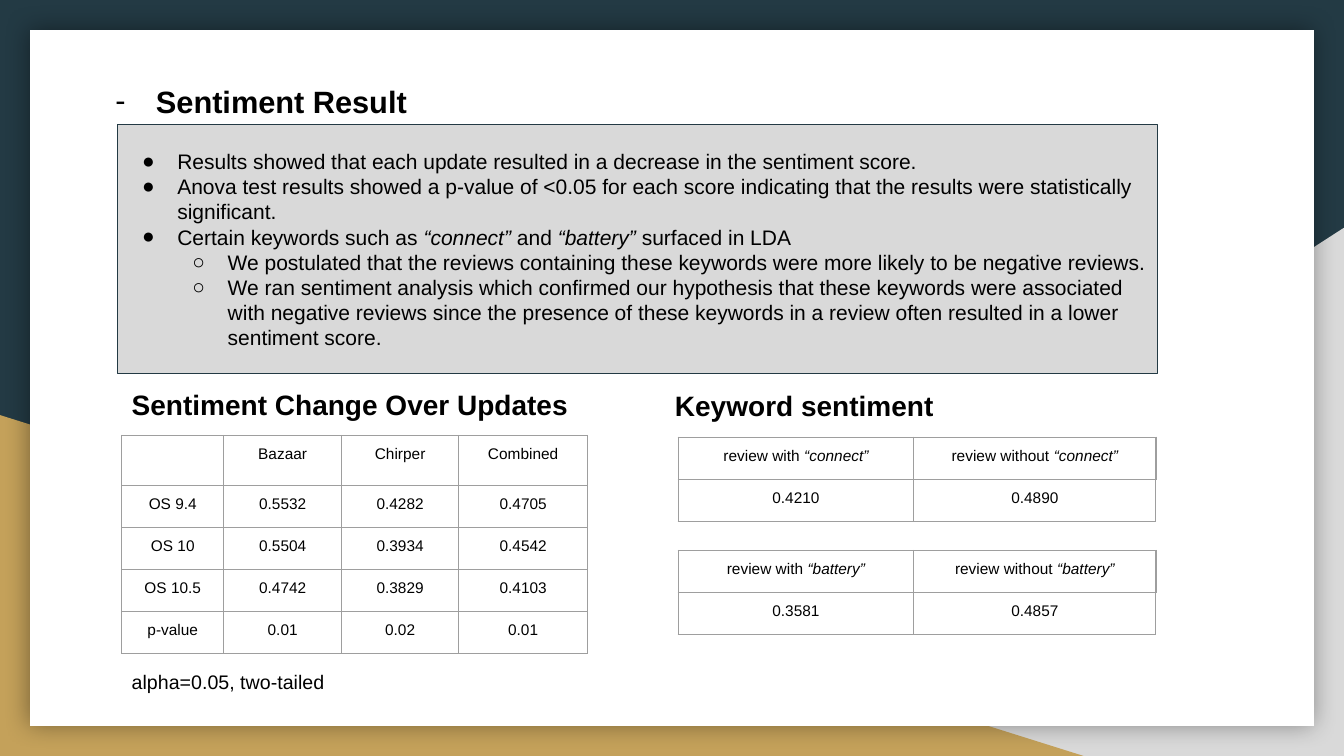
from dataclasses import dataclass

from lxml.etree import SubElement
from pptx import Presentation
from pptx.dml.color import RGBColor
from pptx.enum.shapes import MSO_SHAPE as Preset
from pptx.enum.text import MSO_ANCHOR as Anchor, PP_ALIGN as Align
from pptx.oxml.ns import qn
from pptx.shapes.autoshape import Shape
from pptx.slide import Slide
from pptx.text.text import TextFrame, _Paragraph as Paragraph
from pptx.util import Cm, Pt

FONT = "Arial"
COLORS = {
    "navy": "233A44",
    "gold": "C4A15A",
    "grey": "D9D9D9",
    "white": "FFFFFF",
    "black": "000000",
    "grid": "9E9E9E",
}
ROW_HEIGHT = 1.06
GRID_LINE = 0.75
INSET = 0.25


@dataclass
class Area:
    left: float
    top: float
    width: float
    height: float

    def lengths(self) -> tuple[Cm, Cm, Cm, Cm]:
        return Cm(self.left), Cm(self.top), Cm(self.width), Cm(self.height)


@dataclass
class Panel:
    preset: Preset
    area: Area
    fill: str


@dataclass
class Label:
    text: str
    area: Area
    size: float
    heading: bool = True


@dataclass
class Bullet:
    text: str
    level: int = 0


@dataclass
class Grid:
    left: float
    top: float
    columns: list[float]
    rows: list[list[str]]
    header_line: float = 1


def keyword_grid(keyword: str, top: float, scores: list[str]) -> Grid:
    header = [f"review with _“{keyword}”_", f"review without _“{keyword}”_"]
    return Grid(17.09, top, [5.94, 6.1], [header, scores])


TRIANGLES = [
    Panel(Preset.RIGHT_TRIANGLE, Area(13.26, 5.74, 20.61, 13.31), "grey"),
    Panel(Preset.RIGHT_TRIANGLE, Area(0, 10.46, 27.31, 8.59), "gold"),
]
SHEET = Panel(Preset.RECTANGLE, Area(0.76, 0.76, 32.35, 17.53), "white")
FINDINGS = Panel(Preset.RECTANGLE, Area(2.95, 3.15, 26.21, 6.27), "grey")
TITLE = Label("Sentiment Result", Area(2.41, 1.52, 13.03, 1.63), 22)
LABELS = [
    Label("Sentiment Change Over Updates", Area(3.07, 9.12, 13.03, 1.63), 20),
    Label("Keyword sentiment", Area(16.76, 9.14, 13.03, 1.63), 20),
    Label("alpha=0.05, two-tailed", Area(3.07, 16.64, 5.87, 1.12), 14, heading=False),
]
BULLETS = [
    Bullet("Results showed that each update resulted in a decrease in the sentiment score."),
    Bullet("Anova test results showed a p-value of <0.05 for each score indicating that "
           "the results were statistically significant."),
    Bullet("Certain keywords such as _“connect”_ and _“battery”_ surfaced in LDA"),
    Bullet("We postulated that the reviews containing these keywords were more likely "
           "to be negative reviews.", 1),
    Bullet("We ran sentiment analysis which confirmed our hypothesis that these keywords "
           "were associated with negative reviews since the presence of these keywords "
           "in a review often resulted in a lower sentiment score.", 1),
]
GRIDS = [
    Grid(3.07, 10.97, [2.57, 2.97, 2.95, 3.25], [
        ["", "Bazaar", "Chirper", "Combined"],
        ["OS 9.4", "0.5532", "0.4282", "0.4705"],
        ["OS 10", "0.5504", "0.3934", "0.4542"],
        ["OS 10.5", "0.4742", "0.3829", "0.4103"],
        ["p-value", "0.01", "0.02", "0.01"],
    ], GRID_LINE),
    keyword_grid("connect", 11.02, ["0.4210", "0.4890"]),
    keyword_grid("battery", 13.87, ["0.3581", "0.4857"]),
]


def rgb(name: str) -> RGBColor:
    return RGBColor.from_string(COLORS[name])


def set_insets(frame: TextFrame, vertical: float) -> None:
    frame.margin_left = frame.margin_right = Cm(INSET)
    frame.margin_top = frame.margin_bottom = Cm(vertical)


def write(para: Paragraph, text: str, size: float, bold: bool = False) -> None:
    """Write text in which underscores enclose the italic parts."""
    for index, part in enumerate(text.split("_")):
        span = para.add_run()
        span.text = part
        if index % 2:
            span.font.italic = True
    font = para.font
    font.name, font.size, font.bold = FONT, Pt(size), bold
    font.color.rgb = rgb("black")


def add_bullet(para: Paragraph, char: str, indent: float, hanging: float) -> None:
    props = para._p.get_or_add_pPr()
    props.set("marL", str(Cm(indent)))
    props.set("indent", str(-Cm(hanging)))
    color = SubElement(props, qn("a:buClr"))
    SubElement(color, qn("a:srgbClr"), val=COLORS["black"])
    SubElement(props, qn("a:buFont"), typeface=FONT)
    SubElement(props, qn("a:buChar"), char=char)


def draw_panel(page: Slide, panel: Panel) -> Shape:
    shape = page.shapes.add_shape(panel.preset, *panel.area.lengths())
    shape.shadow.inherit = False
    shape.fill.solid()
    shape.fill.fore_color.rgb = rgb(panel.fill)
    shape.line.fill.background()
    return shape


def draw_backdrop(page: Slide) -> None:
    page.background.fill.solid()
    page.background.fill.fore_color.rgb = rgb("navy")
    right, _ = [draw_panel(page, triangle) for triangle in TRIANGLES]
    right.element.spPr.get_or_add_xfrm().set("flipH", "1")
    effects = draw_panel(page, SHEET).element.spPr.find(qn("a:effectLst"))
    shadow = SubElement(effects, qn("a:outerShdw"), blurRad=str(Pt(18)), dist="0",
                        algn="ctr", rotWithShape="0")
    color = SubElement(shadow, qn("a:srgbClr"), val=COLORS["black"])
    SubElement(color, qn("a:alpha"), val="40000")


def draw_label(box: Shape, label: Label, dash: bool = False) -> None:
    box.left, box.top, box.width, box.height = label.area.lengths()
    frame = box.text_frame
    frame.word_wrap = True
    frame.vertical_anchor = Anchor.BOTTOM if label.heading else Anchor.TOP
    set_insets(frame, 0.13 if label.heading else INSET)
    para = frame.paragraphs[0]
    para.alignment = Align.LEFT
    if dash:
        add_bullet(para, "-", 1.27, 1.02)
    write(para, label.text, label.size, label.heading)


def draw_findings(page: Slide) -> None:
    box = draw_panel(page, FINDINGS)
    box.line.color.rgb = rgb("navy")
    box.line.width = Pt(0.75)
    frame = box.text_frame
    frame.word_wrap = True
    frame.vertical_anchor = Anchor.MIDDLE
    set_insets(frame, INSET)
    for index, bullet in enumerate(BULLETS):
        para = frame.add_paragraph() if index else frame.paragraphs[0]
        para.alignment = Align.LEFT
        para.level = bullet.level
        add_bullet(para, "●○"[bullet.level], 1.27 * (bullet.level + 1), 0.89)
        write(para, bullet.text, 15)


def draw_grid(page: Slide, grid: Grid) -> None:
    area = Area(grid.left, grid.top, sum(grid.columns), ROW_HEIGHT * len(grid.rows))
    table = page.shapes.add_table(len(grid.rows), len(grid.columns), *area.lengths()).table
    table.first_row = table.horz_banding = False
    for column, width in zip(table.columns, grid.columns):
        column.width = Cm(width)
    for row, texts in enumerate(grid.rows):
        for column, text in enumerate(texts):
            cell = table.cell(row, column)
            set_insets(cell, INSET)
            for side in "LRTB":
                header = row == 0 or (row == 1 and side == "T")
                width = Pt(grid.header_line if header else GRID_LINE)
                line = SubElement(cell._tc.get_or_add_tcPr(), qn(f"a:ln{side}"), w=str(width))
                fill = SubElement(line, qn("a:solidFill"))
                SubElement(fill, qn("a:srgbClr"), val=COLORS["grid"])
            cell.fill.background()
            para = cell.text_frame.paragraphs[0]
            para.alignment = Align.CENTER
            write(para, text, 11)


def main() -> None:
    deck = Presentation()
    deck.slide_width, deck.slide_height = Cm(33.87), Cm(19.05)
    page = deck.slides.add_slide(deck.slide_layouts[5])
    title = page.shapes.title
    draw_backdrop(page)
    title.element.getparent().append(title.element)
    draw_label(title, TITLE, dash=True)
    draw_findings(page)
    for label in LABELS:
        draw_label(page.shapes.add_textbox(*label.area.lengths()), label)
    for grid in GRIDS:
        draw_grid(page, grid)
    deck.save("out.pptx")


if __name__ == "__main__":
    main()
